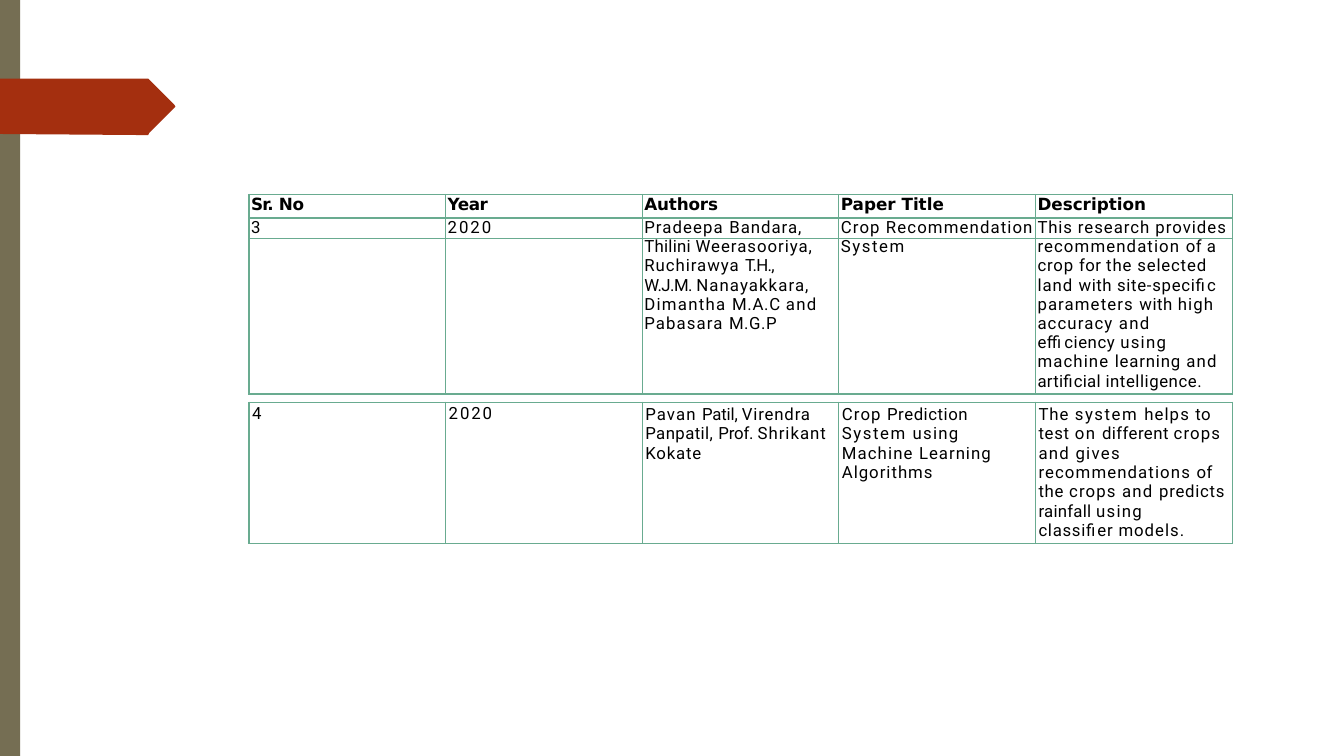
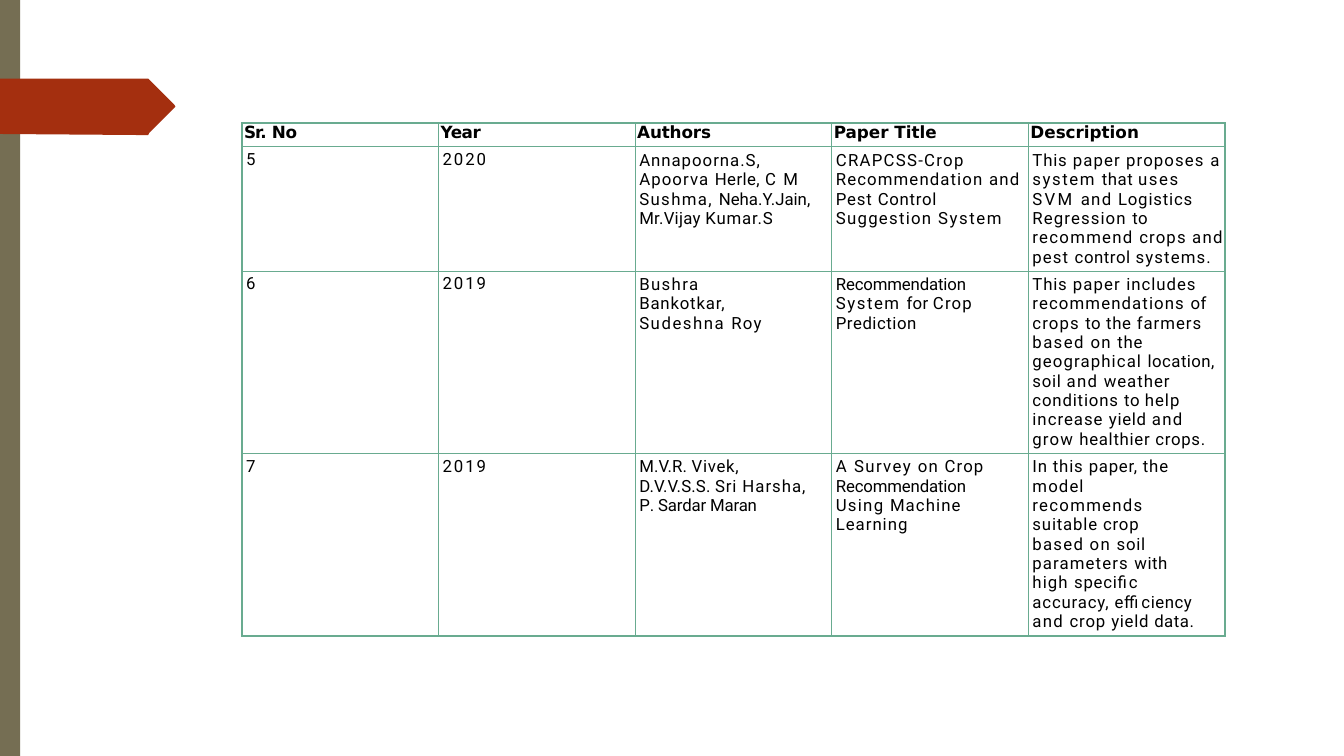
"""Build two slides of a literature survey on crop recommendation."""
import dataclasses

import pptx
import pptx.dml.color
import pptx.enum.shapes
import pptx.oxml.ns
import pptx.util
from lxml import etree

Inches = pptx.util.Inches
Pt = pptx.util.Pt


@dataclasses.dataclass(frozen=True)
class Theme:
    """Colours, fonts and sizes of the deck."""
    bar: str = "756E53"
    tab: str = "A42F0F"
    rule: str = "69AB90"
    ink: str = "000000"
    head: str = "DejaVu Sans"
    body: str = "Roboto"
    size: float = 12
    tiny: float = 8
    col: float = 1.95


@dataclasses.dataclass(frozen=True)
class Look:
    """Spacing and weight of the text in a cell."""
    top: float = 0
    indent: float = 0.02
    before: float = 0
    lead: float = 0
    bold: bool = False


@dataclasses.dataclass(frozen=True)
class Row:
    """Height, looks, texts and edge widths of one table row."""
    height: float
    looks: list
    cells: list
    edges: tuple = (1, 1, 1, 1)


THEME = Theme()
HEADS = [
    [("Sr. ", -0.6), ("No", -0.1)],
    [("Year", -0.3)],
    [("Authors", -0.1)],
    [("Paper Title", 0)],
    [("Description", 0)],
]
STUDY = [
    [[("3", 0)], [("2020", 1.4)],
     [("Pradeepa ", 0.8), ("Bandara,", 0.7)],
     [("Crop Recommendation", 0.8)],
     [("This ", 0.6), ("research provides", 0.7)]],
    [[], [], [("Thilini ", 0.2), ("Weerasooriya,", 0.7)],
     [("System", 1.1)],
     [("recommendation ", 0.8), ("of ", 0.3), ("a", 1)]],
    [[], [], [("Ruchirawya ", 0.7), ("T.H.,", -0.5)], [],
     [("crop ", 0.6), ("for ", 0.3), ("the selected", 0.6)]],
    [[], [], [("W.J.M. ", -0.4), ("Nanayakkara,", 0.8)], [],
     [("land ", 0.7), ("with ", 0.4), ("site-specific", 0.5)]],
    [[], [], [("Dimantha ", 0.9), ("M.A.C ", 0.5), ("and", 0.9)], [],
     [("parameters ", 0.8), ("with ", 0.4), ("high", 0.8)]],
    [[], [], [("Pabasara ", 0.8), ("M.G.P", 0.4)], [],
     [("accuracy ", 0.8), ("and", 0.9)]],
    [[], [], [], [], [("efficiency ", 0.4), ("using", 0.9)]],
    [[], [], [], [],
     [("machine ", 0.8), ("learning ", 0.6), ("and", 0.9)]],
    [[], [], [], [], [("artificial ", 0.2), ("intelligence.", 0.4)]],
]
FOUR = [
    [("4", 0)], [("2020", 1.4)],
    [("Pavan ", 0.8), ("Patil, ", -0.1), ("Virendra\n", 0.6),
     ("Panpatil, ", 0.3), ("Prof. ", -0.1), ("Shrikant\n", 0.7),
     ("Kokate", 0.6)],
    [("Crop ", 0.8), ("Prediction\n", 0.4), ("System ", 1.1),
     ("using\n", 0.9), ("Machine ", 0.8), ("Learning\n", 0.7),
     ("Algorithms", 0.7)],
    [("The ", 0.7), ("system ", 1.1), ("helps ", 0.8), ("to\n", 0.3),
     ("test ", 0.5), ("on ", 1), ("different ", 0.3), ("crops\n", 0.8),
     ("and gives\n", 0.9), ("recommendations ", 0.8), ("of\n", 0.3),
     ("the ", 0.5), ("crops ", 0.8), ("and ", 0.9), ("predicts\n", 0.5),
     ("rainfall ", 0.2), ("using\n", 0.9), ("classifier ", 0.5),
     ("models.", 0.7)],
]
FIVE = [
    [("5", 0)], [("2020", 1.4)],
    [("Annapoorna.S,\n", 0.7), ("Apoorva ", 0.8), ("Herle, ", 0.3),
     ("C ", 1.2), ("M\n", 1.8), ("Sushma, ", 1), ("Neha.Y.Jain,\n", 0),
     ("Mr.Vijay ", 0.2), ("Kumar.S", 0.6)],
    [("CRAPCSS-Crop", 0.9), None, ("Recommendation ", 0.8), ("and\n", 0.9),
     ("Pest ", 0.6), ("Control\n", 0.5), ("Suggestion ", 0.9),
     ("System", 1.1)],
    [("This ", 0.6), ("paper proposes ", 0.8), ("a\n", 1), ("system ", 1.1),
     ("that ", 0.4), ("uses\n", 1.1), ("SVM ", 1.6), ("and ", 0.9),
     ("Logistics\n", 0.6), ("Regression ", 0.8), ("to\n", 0.3),
     ("recommend ", 0.9), ("crops ", 0.8), ("and\n", 0.9), ("pest ", 0.8),
     ("control ", 0.4), ("systems.", 0.8)],
]
SIX = [
    [("6", 0)], [("2019", 1.4)],
    [("Bushra\n", 1), ("Bankotkar,\n", 0.6), ("Sudeshna ", 1.1),
     ("Roy", 0.9)],
    [("Recommendation\n", -0.1), ("System ", 1.1), ("for ", 0.2),
     ("Crop\n", 0.8), ("Prediction", 0.4)],
    [("This ", 0.6), ("paper ", 0.8), ("includes\n", 0.7),
     ("recommendations ", 0.8), ("of\n", 0.3), ("crops ", 0.8),
     ("to ", 0.4), ("the ", 0.5), ("farmers\n", 0.7), ("based ", 1),
     ("on ", 0.9), ("the\n", 0.5), ("geographical ", 0.8),
     ("location,\n", 0.3), ("soil ", 0.5), ("and ", 0.9),
     ("weather\n", 0.7), ("conditions ", 0.6), ("to ", 0.4),
     ("help\n", 0.7), ("increase ", 0.7), ("yield ", 0.5), ("and\n", 0.9),
     ("grow ", 0.8), ("healthier crops.", 0.5)],
]
SEVEN = [
    [("7", 0)], [("2019", 1.4)],
    [("M.V.R. ", 0.1), ("Vivek,", 0.5), None, ("D.V.V.S.S. ", 0.1),
     ("Sri ", 0.6), ("Harsha,", 0.7), None, ("P", -1.9),
     (". Sardar Maran", -0.1)],
    [("A ", 1.1), ("Survey ", 1), ("on ", 0.9), ("Crop\n", 0.8),
     ("Recommendation\n", -0.1), ("Using ", 0.9), ("Machine\n", 0.8),
     ("Learning", 0.7)],
    [("In this ", 0.6), ("paper, ", 0.5), ("the\n", 0.6), ("model\n", 0.8),
     ("recommends\n", 0.9), ("suitable crop\n", 0.6), ("based on ", 0.9),
     ("soil\n", 0.5), ("parameters ", 0.8), ("with\n", 0.4),
     ("high ", 0.8), ("specific\n", 0.5), ("accuracy, ", 0.6),
     ("efficiency\n", 0.4), ("and ", 0.9), ("crop ", 0.6),
     ("yield ", 0.5), ("data.", 0.4)],
]


def paint(shape, color):
    """Give a shape a flat fill with no line or shadow."""
    shape.shadow.inherit = False
    shape.fill.solid()
    shape.fill.fore_color.rgb = pptx.dml.color.RGBColor.from_string(color)
    shape.line.fill.background()


def frame(slide):
    """Draw the side bar and the pointed tab."""
    bar = slide.shapes.add_shape(
        pptx.enum.shapes.MSO_SHAPE.RECTANGLE, 0, 0, Inches(0.2), Inches(7.5))
    paint(bar, THEME.bar)
    points = [(1.47, 0.78), (1.48, 0.79), (1.73, 1.04), (1.74, 1.06),
              (1.73, 1.07), (1.48, 1.32), (1.47, 1.34), (1.36, 1.34),
              (0, 1.33)]
    pen = slide.shapes.build_freeform(0, Inches(0.78))
    pen.add_line_segments([(Inches(x), Inches(y)) for x, y in points])
    paint(pen.convert_to_shape(), THEME.tab)


def border(cell, widths):
    """Set the left, right, top and bottom edges of a cell."""
    name = pptx.oxml.ns.qn
    props = cell._tc.get_or_add_tcPr()
    for side, width in zip("LRTB", widths):
        line = etree.SubElement(props, name("a:ln" + side), w=str(Pt(width)))
        if width:
            fill = etree.SubElement(line, name("a:solidFill"))
            etree.SubElement(fill, name("a:srgbClr"), val=THEME.rule)
        else:
            etree.SubElement(line, name("a:noFill"))


def begin(para, look, first):
    """Set the spacing and indent of a paragraph."""
    para._p.get_or_add_pPr().set("marL", str(Inches(look.indent)))
    para.space_before = Pt(look.before if first else 0)
    if look.lead:
        para.line_spacing = Pt(look.lead)


def write(cell, runs, look):
    """Write spaced runs into a cell."""
    cell.margin_left = cell.margin_right = cell.margin_bottom = 0
    cell.margin_top = Inches(look.top)
    para = cell.text_frame.paragraphs[0]
    begin(para, look, True)
    if not runs:
        end = para._p.get_or_add_endParaRPr()
        end.set("sz", str(int(THEME.tiny * 100)))
    for item in runs:
        if item is None:
            para = cell.text_frame.add_paragraph()
            begin(para, look, False)
            continue
        text, space = item
        run = para.add_run()
        run.text = text.rstrip("\n")
        run.font.size = Pt(THEME.size)
        run.font.name = THEME.head if look.bold else THEME.body
        run.font.bold = look.bold
        run.font.color.rgb = pptx.dml.color.RGBColor.from_string(THEME.ink)
        run._r.get_or_add_rPr().set("spc", str(round(space * 100)))
        if text.endswith("\n"):
            para.add_line_break()


def grid(slide, left, top, rows):
    """Add a table of equal columns."""
    count = len(HEADS)
    table = slide.shapes.add_table(
        len(rows), count, Inches(left), Inches(top),
        Inches(THEME.col * count), Inches(sum(r.height for r in rows))).table
    table.first_row = table.horz_banding = False
    for col in table.columns:
        col.width = Inches(THEME.col)
    for line, row in zip(table.rows, rows):
        line.height = Inches(row.height)
        for cell, runs, look in zip(line.cells, row.cells, row.looks):
            border(cell, row.edges)
            cell.fill.background()
            write(cell, runs, look)


def header(base=1):
    """Return the heading row."""
    look = Look(before=0.1, bold=True)
    return Row(0.23, [look] * len(HEADS), HEADS, (1, 1, 1, base))


def record(height, cells, top, before, indent=0.04):
    """Return a row of two figures and three texts."""
    figure = Look(top, indent, before)
    text = Look(top + 0.01, indent, before + 0.9, 13.8)
    return Row(height, [figure] * 2 + [text] * 3, cells)


def study():
    """Return the rows that hold one study line by line."""
    last = len(STUDY) - 1
    rows = [header(1.5)]
    for at, cells in enumerate(STUDY):
        height, look, edges = 0.19, Look(lead=12.8), (1, 1, 0, 0)
        if at == 0:
            height, edges = 0.21, (1, 1, 1.5, 1)
            look = Look(0.01, before=0.6, lead=13.8)
        elif at == 1:
            edges = (1, 1, 1, 0)
        elif at == last:
            height, look, edges = 0.21, Look(lead=13.4), (1, 1, 0, 1)
        rows.append(Row(height, [look] * len(HEADS), cells, edges))
    return rows


def main():
    """Build and save the deck."""
    deck = pptx.Presentation()
    deck.slide_width, deck.slide_height = Inches(13.33), Inches(7.5)
    pages = [
        [(2.47, 3.99, [record(1.4, FOUR, 0.02, 1.2, 0.03)]),
         (2.47, 1.93, study())],
        [(2.4, 1.22, [header(), record(1.24, FIVE, 0.04, 2.8),
                      record(1.81, SIX, 0.03, 1.9),
                      record(1.81, SEVEN, 0.03, 1.9)])],
    ]
    for tables in pages:
        slide = deck.slides.add_slide(deck.slide_layouts[6])
        frame(slide)
        for left, top, rows in tables:
            grid(slide, left, top, rows)
    deck.save("out.pptx")


if __name__ == "__main__":
    main()
